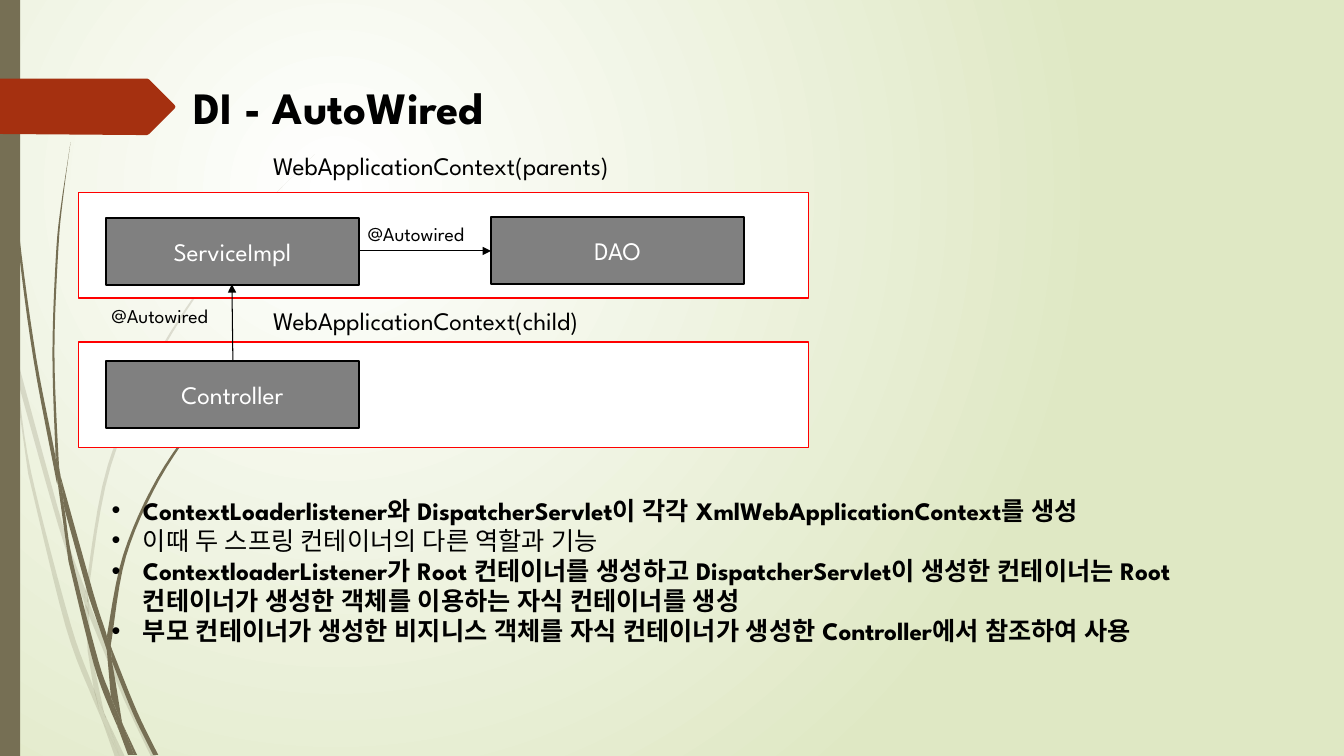
from lxml import etree
from pptx import Presentation
from pptx.dml.color import RGBColor
from pptx.enum import shapes, text
from pptx.oxml import ns
from pptx.util import Inches, Pt

FONT = "League Spartan"
BLACK = RGBColor(0x00, 0x00, 0x00)
WHITE = RGBColor(0xFF, 0xFF, 0xFF)
RED = RGBColor(0xFF, 0x00, 0x00)
GRAY = RGBColor(0x80, 0x80, 0x80)
OLIVE = RGBColor(0x76, 0x6F, 0x54)
RUST = RGBColor(0xA5, 0x30, 0x10)
PALE_GREEN = RGBColor(0xDF, 0xE8, 0xC4)
BEAN_WIDTH, BEAN_HEIGHT = 2.51, 0.67
STEPS = 6

PALE_BLADES = [
    ([(0, 2.82), (0.09, 3.22), (0.11, 3.5)], [(0.1, 3.44), (0, 2.99)]),
    ([(0.14, 3.45), (0.62, 5.2), (0.85, 5.86)], [(0.84, 5.99), (0.58, 5.22), (0.17, 3.76)]),
    ([(0.88, 5.96), (0.92, 6.07), (1.27, 6.92), (1.55, 7.51)], [(1.5, 7.51), (1.23, 6.94), (0.88, 6.1)]),
    ([(1.05, 7.11), (1.24, 7.51)], [(1.19, 7.51)]),
    ([(0.11, 3.5), (0.17, 3.76), (0.31, 4.69), (0.7, 6.19), (0.93, 6.83), (0.99, 7.07), (1.01, 7.14)],
     [(0.92, 6.93), (0.65, 6.21), (0.28, 4.7)]),
    ([(0.84, 5.99), (0.88, 6.08), (0.91, 6.46), (1.03, 7.06), (1.05, 7.11)],
     [(0.96, 6.92), (0.93, 6.83), (0.87, 6.46)]),
    ([(3.12, 1.53), (2.68, 1.98), (2.29, 2.45), (1.6, 3.49), (1.1, 4.62), (0.88, 5.84), (0.88, 5.96)],
     [(0.85, 5.86), (0.85, 5.84), (1.07, 4.61), (1.58, 3.48), (2.28, 2.44), (2.68, 1.97)]),
    ([(1.01, 7.14), (1.19, 7.51)], [(1.14, 7.51)]),
    ([(0.85, 5.86), (0.88, 5.96), (0.88, 6.1)], [(0.84, 5.99)]),
    ([(0.93, 6.83), (0.96, 6.92), (1.05, 7.11), (1.19, 7.51)], [(1.01, 7.14), (0.99, 7.07)]),
]
DARK_BLADES = [
    ([(0.04, 0), (0.05, 0.48), (0.08, 1.09), (0.19, 2.32), (0.36, 3.55), (0.55, 4.53), (0.57, 4.81)],
     [(0.56, 4.77), (0.33, 3.55), (0.17, 2.33), (0.07, 1.1), (0.04, 0.48), (0.03, 0)]),
    ([(0.6, 4.72), (0.93, 5.9), (1.06, 6.31), (1.06, 6.45)], [(0.88, 5.92), (0.64, 5.05)]),
    ([(1.1, 6.41), (1.13, 6.49), (1.36, 7.06), (1.57, 7.49)], [(1.52, 7.49), (1.32, 7.08), (1.11, 6.56)]),
    ([(0.57, 4.77), (0.64, 5.05), (0.72, 5.56), (0.98, 6.57), (1.1, 6.91), (1.17, 7.22)],
     [(1.11, 7.08), (0.93, 6.59), (0.68, 5.57)]),
    ([(0.7, 1.41), (0.63, 1.93), (0.58, 2.45), (0.54, 3.49), (0.58, 4.53), (0.6, 4.72)],
     [(0.55, 4.49), (0.52, 3.49), (0.56, 2.45), (0.62, 1.93)]),
    ([(1.22, 7.19), (1.36, 7.49)], [(1.33, 7.49)]),
    ([(0.55, 4.49), (0.6, 4.72), (0.64, 5.05)], [(0.57, 4.77), (0.55, 4.53)]),
    ([(2.61, 3.44), (2.31, 3.74), (2.05, 4.06), (1.58, 4.76), (1.25, 5.52), (1.11, 6.33), (1.1, 6.41)],
     [(1.06, 6.31), (1.22, 5.51), (1.56, 4.74), (2.04, 4.05), (2.31, 3.73)]),
    ([(1.17, 7.22), (1.31, 7.49)], [(1.27, 7.49)]),
    ([(1.06, 6.45), (1.11, 6.56), (1.21, 7.16), (1.22, 7.19)], [(1.16, 7.06), (1.1, 6.91)]),
    ([(1.06, 6.31), (1.1, 6.41), (1.11, 6.56)], [(1.06, 6.45)]),
    ([(1.1, 6.91), (1.16, 7.06), (1.22, 7.19), (1.33, 7.49)], [(1.3, 7.49), (1.17, 7.22)]),
]
BANNER = [(0, 0.78), (1.46, 0.78), (1.48, 0.79), (1.73, 1.04), (1.74, 1.06),
          (1.73, 1.08), (1.48, 1.33), (1.46, 1.34), (1.36, 1.34), (0, 1.33)]
NOTES = [
    ("ContextLoaderlistener와 DispatcherServlet이 각각 XmlWebApplicationContext를 생성", True),
    ("이때 두 스프링 컨테이너의 다른 역할과 기능", False),
    ("ContextloaderListener가 Root 컨테이너를 생성하고 DispatcherServlet이 생성한 컨테이너는 "
     "Root컨테이너가 생성한 객체를 이용하는 자식 컨테이너를 생성", True),
    ("부모 컨테이너가 생성한 비지니스 객체를 자식 컨테이너가 생성한 Controller에서 참조하여 사용", True),
]


def paint_background(slide):
    fill = slide.background.fill
    fill.gradient()
    for stop, color in zip(fill.gradient_stops, (WHITE, PALE_GREEN)):
        stop.color.rgb = color
    linear = next(slide.element.iter(ns.qn("a:lin")))
    radial = etree.Element(ns.qn("a:path"), {"path": "circle"})
    etree.SubElement(radial, ns.qn("a:fillToRect"), l="50000", t="50000", r="100000", b="100000")
    linear.getparent().replace(linear, radial)


def paint(shape, fill, line=None):
    shape.shadow.inherit = False
    shape.fill.solid()
    shape.fill.fore_color.rgb = fill
    if line is None:
        shape.line.fill.background()
    else:
        shape.line.color.rgb = line
        shape.line.width = Pt(1.25)


def smooth_edge(knots):
    padded = [knots[0], *knots, knots[-1]]
    points = [knots[0]]
    for a, b, c, d in zip(padded, padded[1:], padded[2:], padded[3:]):
        for step in range(1, STEPS + 1):
            t = step / STEPS
            points.append(tuple(
                q + t / 2 * (r - p + t * (2 * p - 5 * q + 4 * r - s + t * (3 * (q - r) + s - p)))
                for p, q, r, s in zip(a, b, c, d)))
    return points


def add_outline(slide, points, color, alpha=None):
    corners = [(Inches(x), Inches(y)) for x, y in points]
    builder = slide.shapes.build_freeform(*corners[0])
    builder.add_line_segments(corners[1:], close=True)
    outline = builder.convert_to_shape()
    paint(outline, color)
    if alpha is not None:
        tint = next(outline.element.spPr.iter(ns.qn("a:srgbClr")))
        etree.SubElement(tint, ns.qn("a:alpha"), val=str(alpha * 1000))


def add_box(slide, left, top, width, height, fill, line=None):
    box = slide.shapes.add_shape(shapes.MSO_SHAPE.RECTANGLE, Inches(left), Inches(top),
                                 Inches(width), Inches(height))
    paint(box, fill, line)
    return box


def style(paragraph, size, color=BLACK, bold=False):
    font = paragraph.font
    font.name, font.size, font.bold = FONT, Pt(size), bold
    font.color.rgb = color
    defaults = next(paragraph._p.iter(ns.qn("a:defRPr")))
    etree.SubElement(defaults, ns.qn("a:ea"), typeface=FONT)


def add_bean(slide, left, top, name):
    bean = add_box(slide, left, top, BEAN_WIDTH, BEAN_HEIGHT, GRAY, BLACK)
    bean.text_frame.text = name
    bean.text_frame.vertical_anchor = text.MSO_ANCHOR.MIDDLE
    label = bean.text_frame.paragraphs[0]
    label.alignment = text.PP_ALIGN.CENTER
    style(label, 18, WHITE)


def add_frame(slide, left, top, width, height):
    frame = slide.shapes.add_textbox(Inches(left), Inches(top), Inches(width), Inches(height)).text_frame
    frame.word_wrap = True
    return frame


def add_label(slide, left, top, width, height, words, size, bold=False):
    frame = add_frame(slide, left, top, width, height)
    frame.text = words
    style(frame.paragraphs[0], size, bold=bold)


def add_arrow(slide, x1, y1, x2, y2):
    arrow = slide.shapes.add_connector(shapes.MSO_CONNECTOR.STRAIGHT, Inches(x1), Inches(y1),
                                       Inches(x2), Inches(y2))
    arrow.line.color.rgb = BLACK
    arrow.line.width = Pt(0.75)
    etree.SubElement(arrow.line._get_or_add_ln(), ns.qn("a:tailEnd"), type="triangle")
    etree.SubElement(arrow.element.spPr, ns.qn("a:effectLst"))


def add_notes(slide):
    frame = add_frame(slide, 1.01, 4.86, 11.5, 1.62)
    for index, (words, bold) in enumerate(NOTES):
        note = frame.add_paragraph() if index else frame.paragraphs[0]
        note.text = words
        style(note, 18, bold=bold)
        props = note._p.get_or_add_pPr()
        props.set("marL", str(Inches(0.31)))
        props.set("indent", str(-Inches(0.31)))
        props.insert(0, etree.Element(ns.qn("a:buFont"), typeface="Arial"))
        props.insert(1, etree.Element(ns.qn("a:buChar"), char="•"))


def main():
    deck = Presentation()
    deck.slide_width, deck.slide_height = Inches(13.33), Inches(7.5)
    slide = deck.slides.add_slide(deck.slide_layouts[6])
    paint_background(slide)
    for blades, alpha in ((PALE_BLADES, 20), (DARK_BLADES, None)):
        for down, back in blades:
            add_outline(slide, smooth_edge(down) + smooth_edge(back), OLIVE, alpha)
    add_box(slide, 0, 0, 0.2, 7.5, OLIVE)
    add_outline(slide, BANNER, RUST)
    for top in (3.39, 1.91):
        add_box(slide, 0.78, top, 7.24, 1.05, WHITE, RED)
    add_label(slide, 2.61, 1.44, 5.9, 0.4, "WebApplicationContext(parents)", 18)
    add_label(slide, 2.61, 2.98, 5.21, 0.4, "WebApplicationContext(child)", 18)
    for left, top in ((3.55, 2.15), (1.01, 2.97)):
        add_label(slide, left, top, 3.2, 0.34, "@Autowired", 14)
    for left, top, name in ((1.05, 2.16, "ServiceImpl"), (1.05, 3.58, "Controller"), (4.87, 2.15, "DAO")):
        add_bean(slide, left, top, name)
    add_arrow(slide, 3.56, 2.49, 4.87, 2.49)
    add_arrow(slide, 2.31, 3.58, 2.3, 2.82)
    add_notes(slide)
    add_label(slide, 1.82, 0.74, 8.47, 0.64, "DI - AutoWired", 32, bold=True)
    deck.save("out.pptx")


if __name__ == "__main__":
    main()
